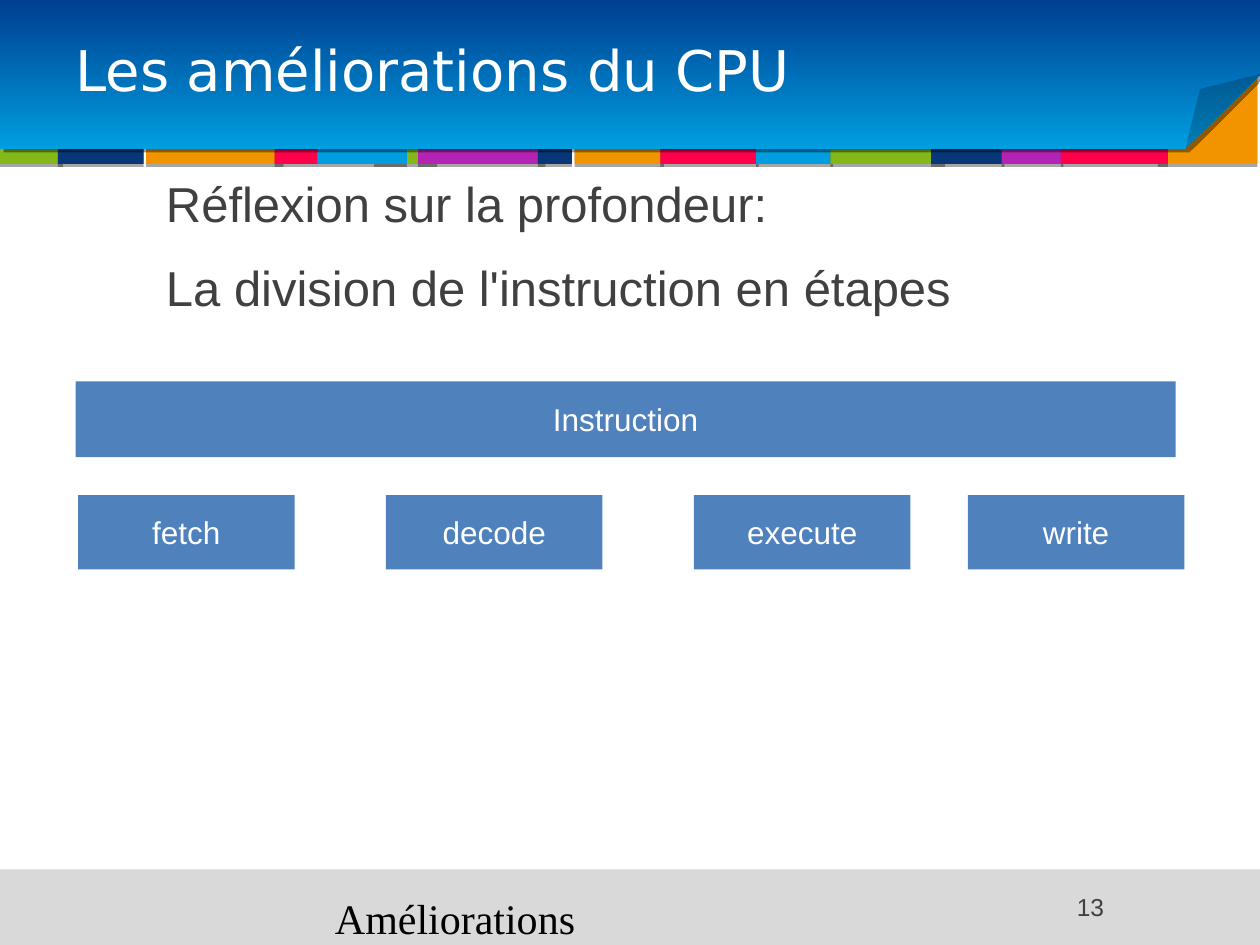
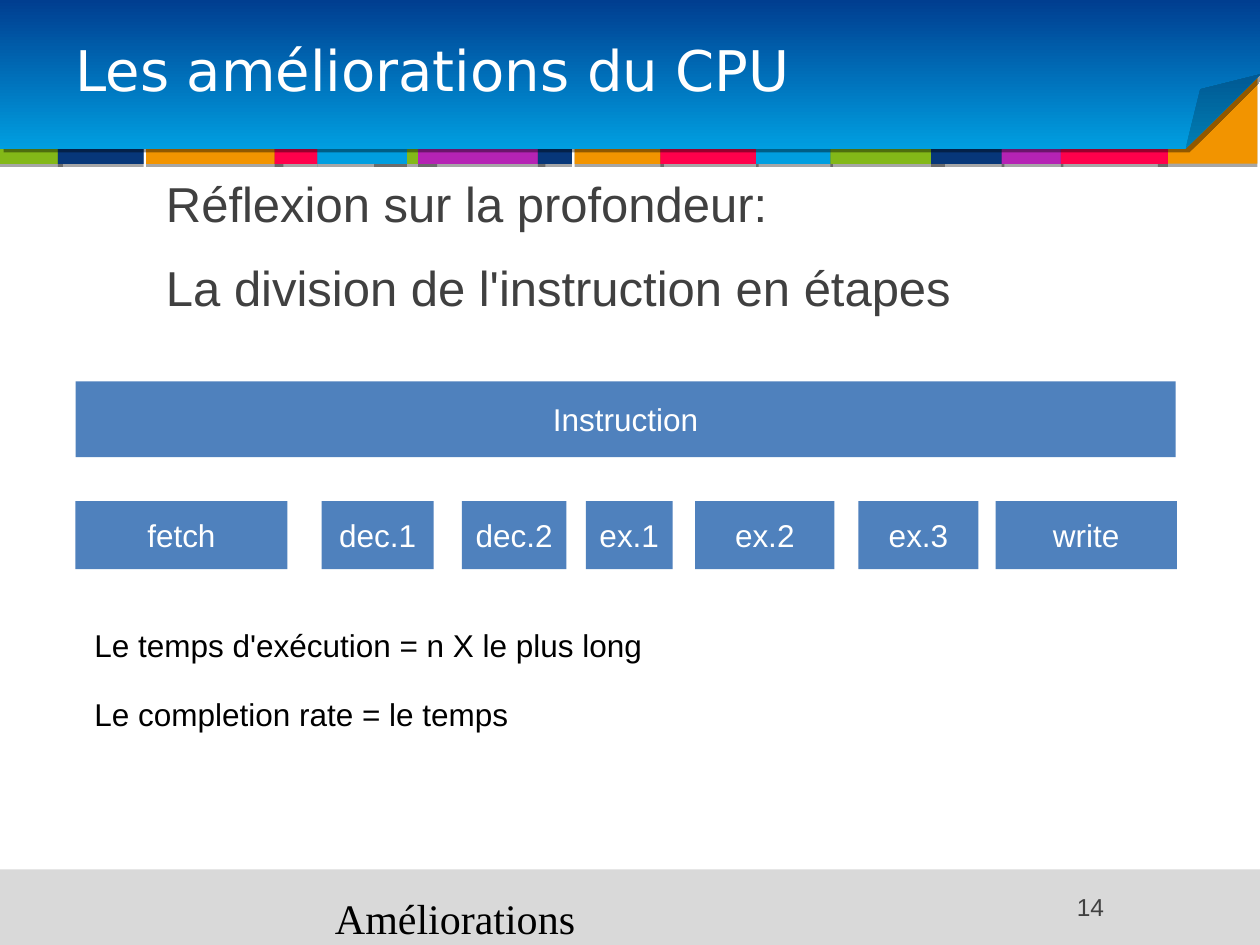
import pptx
import pptx.dml.color
import pptx.enum.shapes
import pptx.enum.text
import pptx.oxml
import pptx.oxml.ns
import pptx.util

Pt = pptx.util.Pt
RECTANGLE = pptx.enum.shapes.MSO_SHAPE.RECTANGLE
FOLDED_CORNER = pptx.enum.shapes.MSO_SHAPE.FOLDED_CORNER
ALIGN = pptx.enum.text.PP_ALIGN
ANCHOR = pptx.enum.text.MSO_ANCHOR

COLOURS = {
    "green": "83B818", "navy": "073779", "orange": "F29400", "red": "FF014B",
    "sky": "009EE0", "purple": "B523B4", "deep": "003E90", "footer": "D9D9D9",
    "block": "4F81BD", "grey": "404040", "white": "FFFFFF", "black": "000000",
}

TITLE = "Les améliorations du CPU"
FOOTER = "Améliorations"
HEADINGS = ["Réflexion sur la profondeur:", "La division de l'instruction en étapes"]

# Stripes under the title band, back to front: left, width, colour
STRIPE_TOP, STRIPE_HEIGHT = 59, 34.6
STRIPES = [
    (213.8, 36, "green"), (0, 36, "green"), (33.1, 49, "navy"),
    (83.5, 78.5, "orange"), (157, 24.5, "red"), (181.4, 51.1, "sky"),
    (239, 72.7, "purple"), (307.4, 19.4, "navy"), (328.3, 51.1, "orange"),
    (377.3, 56.2, "red"), (432, 43.9, "sky"), (474.5, 65.5, "green"),
    (532.1, 41.8, "navy"), (572.4, 35.3, "purple"), (606.2, 61.2, "red"),
]

# Steps: label, left, width
SLIDES = [
    {
        "number": 13, "step_top": 283, "step_height": 42.4,
        "steps": [("fetch", 44.6, 123.8), ("decode", 220.5, 123.8),
                  ("execute", 396.5, 123.8), ("write", 553, 123.8)],
        "notes": [],
    },
    {
        "number": 14, "step_top": 286.4, "step_height": 38.9,
        "steps": [("fetch", 43.1, 121.2), ("dec.1", 183.8, 64),
                  ("dec.2", 264, 59.6), ("ex.1", 334.8, 49.6),
                  ("ex.2", 397.2, 79.7), ("ex.3", 490.6, 68.6),
                  ("write", 568.9, 103.6)],
        "notes": ["Le temps d'exécution = n X le plus long",
                  "Le completion rate = le temps"],
    },
]


def colour(name):
    return pptx.dml.color.RGBColor.from_string(COLOURS[name])


def write(frame, lines, size, ink, font="Arial", align=ALIGN.LEFT, anchor=ANCHOR.TOP):
    frame.word_wrap = True
    frame.vertical_anchor = anchor
    for index, line in enumerate(lines):
        para = frame.paragraphs[0] if index == 0 else frame.add_paragraph()
        para.text = line
        para.alignment = align
        para.font.name = font
        para.font.size = Pt(size)
        para.font.color.rgb = colour(ink)
    return frame.paragraphs


def add_text(page, place, lines, *style, **options):
    box = page.shapes.add_textbox(*map(Pt, place))
    return write(box.text_frame, lines, *style, **options)


def add_block(page, place, fill, kind=RECTANGLE):
    block = page.shapes.add_shape(kind, *map(Pt, place))
    block.shadow.inherit = False
    block.fill.solid()
    block.fill.fore_color.rgb = colour(fill)
    block.line.fill.background()
    return block


def cast_shadow(shape, distance=1.8, degrees=90, opacity=35):
    effects = shape._element.spPr.find(pptx.oxml.ns.qn("a:effectLst"))
    effects.append(pptx.oxml.parse_xml(
        f'<a:outerShdw {pptx.oxml.ns.nsdecls("a")} blurRad="0" dist="{Pt(distance)}" '
        f'dir="{degrees * 60000}" algn="tl" rotWithShape="0"><a:srgbClr val="000000">'
        f'<a:alpha val="{opacity * 1000}"/></a:srgbClr></a:outerShdw>'))


def set_fold(shape, share):
    """Set the size of a folded corner, as a share of the shape's shorter side."""
    geometry = shape._element.spPr.find(pptx.oxml.ns.qn("a:prstGeom"))
    for child in list(geometry):
        geometry.remove(child)
    geometry.append(pptx.oxml.parse_xml(
        f'<a:avLst {pptx.oxml.ns.nsdecls("a")}>'
        f'<a:gd name="adj" fmla="val {round(share * 100000)}"/></a:avLst>'))


def add_frame(page, number):
    """Draw the stripes, title band and footer that every slide carries."""
    stripes = [(left, STRIPE_TOP, width, STRIPE_HEIGHT, fill)
               for left, width, fill in STRIPES]
    corner = (661.7, 33.8, 56.9, 59.8, "orange")
    for *place, fill in [stripes[0], corner, *stripes[1:]]:
        cast_shadow(add_block(page, place, fill))

    band = add_block(page, (0, 0, 720, 85), "deep", FOLDED_CORNER)
    set_fold(band, 0.5)
    band.fill.gradient()
    band.fill.gradient_angle = 90
    for stop, position, name in zip(band.fill.gradient_stops, (0, 1), ("sky", "deep")):
        stop.position = position
        stop.color.rgb = colour(name)
    cast_shadow(band, distance=3, degrees=45, opacity=40)

    cast_shadow(add_block(page, (0, 496.8, 720, 43.2), "footer"))
    title = add_text(page, (36, 5, 648, 74.2), [TITLE], 32, "white",
                     font="DejaVu Sans", anchor=ANCHOR.MIDDLE)
    title[0].line_spacing = 0.9
    add_text(page, (184.3, 506.2, 351.4, 26.6), [FOOTER], 24, "black",
             font="Times New Roman")
    add_text(page, (553, 506.2, 85, 26.6), [str(number)], 14, "grey",
             align=ALIGN.RIGHT)


def add_step(page, label, *place):
    block = add_block(page, place, "block")
    write(block.text_frame, [label], 18, "white", align=ALIGN.CENTER,
          anchor=ANCHOR.MIDDLE)


def add_slide(deck, content):
    page = deck.slides.add_slide(deck.slide_layouts[6])
    add_frame(page, content["number"])
    for para in add_text(page, (43.2, 95.8, 648, 379.4), HEADINGS, 28, "grey"):
        para.space_before = Pt(14.2)
        para._p.get_or_add_pPr().set("marL", str(Pt(44.6)))
    add_step(page, "Instruction", 43.2, 218, 628.6, 43.2)
    for label, left, width in content["steps"]:
        add_step(page, label, left, content["step_top"], width, content["step_height"])
    for index, note in enumerate(content["notes"]):
        add_text(page, (46.8, 354.2 + index * 39.6, 499.7, 28.8), [note], 18, "black")


def main():
    deck = pptx.Presentation()
    deck.slide_width, deck.slide_height = Pt(720), Pt(540)
    for content in SLIDES:
        add_slide(deck, content)
    deck.save("out.pptx")


if __name__ == "__main__":
    main()
